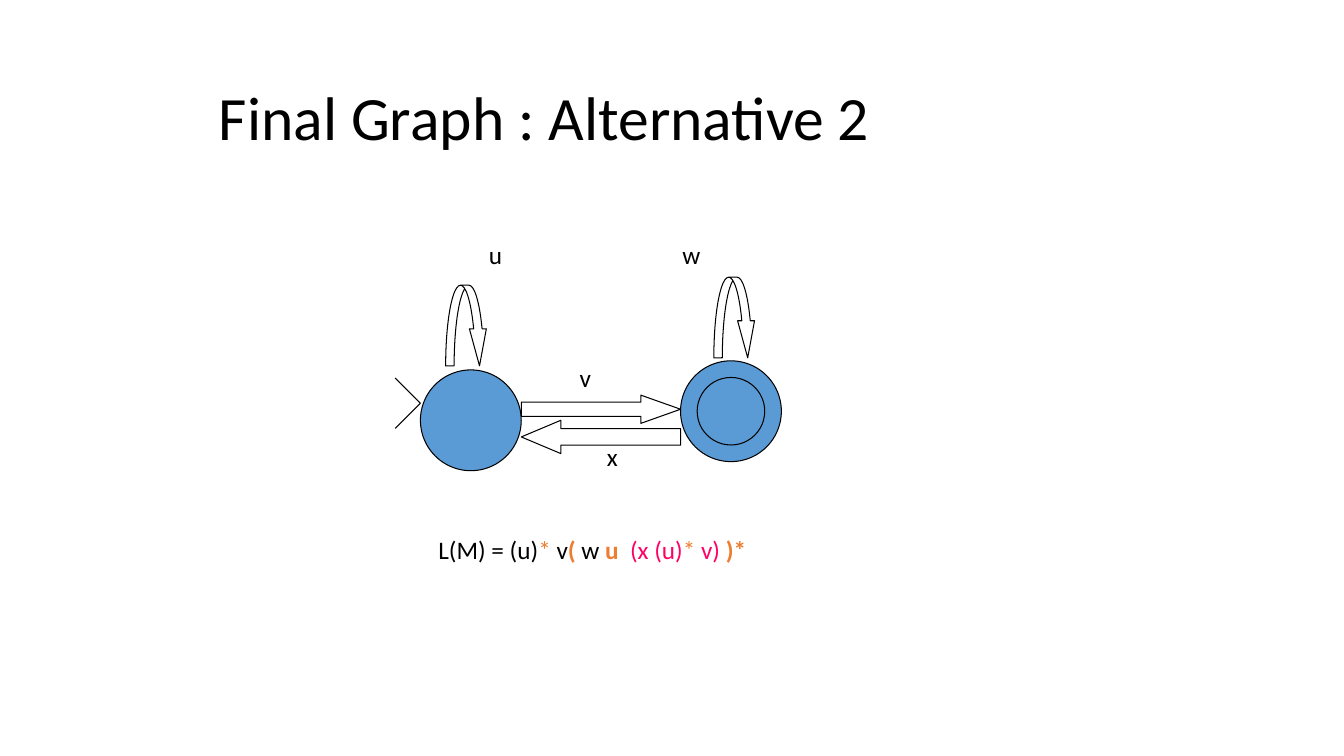
import pptx
import pptx.dml.color
import pptx.enum.shapes
import pptx.enum.text
import pptx.oxml
import pptx.oxml.ns
import pptx.util

Inches = pptx.util.Inches
Pt = pptx.util.Pt
PRESET = pptx.enum.shapes.MSO_SHAPE

FONT = "Calibri"
BLACK, BLUE, ORANGE, PINK = "000000", "5B9BD5", "ED7D31", "FF0066"

TITLE = "Final Graph : Alternative 2"
TITLE_BOX = (2.07, 0.47, 9.56, 1.45)

STATE_SIZE = 1.0
INNER_SIZE = 0.67
START_STATE = (4.17, 3.67)
FINAL_STATE = (6.75, 3.58)
START_TIP = (4.17, 4.0)
START_MARK = 0.25

LOOP_SIZE = (0.42, 0.8)
LOOP_ADJUSTMENTS = (0.2, 0.4, 0.875)
LOOPS = [(4.42, 2.83), (7.08, 2.75)]

# preset, top, height, head length relative to height
TRANSITIONS = [
    (PRESET.RIGHT_ARROW, 3.92, 0.28, 1.407),
    (PRESET.LEFT_ARROW, 4.17, 0.33, 1.188),
]

LABEL_HEIGHT = 0.4
# text, left, top, width
LABELS = [
    ("u", 4.75, 2.33, 0.34),
    ("w", 6.67, 2.33, 0.38),
    ("v", 5.65, 3.55, 0.32),
    ("x", 5.92, 4.33, 0.31),
]

FORMULA_BOX = (4.25, 5.25, 3.3, LABEL_HEIGHT)
# text, colour, bold
FORMULA = [
    ("L(M) = (u)", BLACK, False),
    ("*", ORANGE, False),
    (" v", BLACK, False),
    ("( ", ORANGE, True),
    ("w ", BLACK, False),
    ("u  ", ORANGE, True),
    ("(x (u)", PINK, False),
    ("* ", ORANGE, False),
    ("v) ", PINK, False),
    (")*", ORANGE, True),
]


def rgb(colour):
    return pptx.dml.color.RGBColor.from_string(colour)


def add_text(paragraph, text, size=18, colour=BLACK, bold=False):
    run = paragraph.add_run()
    run.text = text
    run.font.name = FONT
    run.font.size = Pt(size)
    run.font.bold = bold
    run.font.color.rgb = rgb(colour)


def add_title(slide):
    title = slide.shapes.title
    title.left, title.top, title.width, title.height = map(Inches, TITLE_BOX)
    frame = title.text_frame
    frame.auto_size = pptx.enum.text.MSO_AUTO_SIZE.NONE
    frame.vertical_anchor = pptx.enum.text.MSO_ANCHOR.MIDDLE
    paragraph = frame.paragraphs[0]
    paragraph.alignment = pptx.enum.text.PP_ALIGN.LEFT
    paragraph.line_spacing = 0.9
    add_text(paragraph, TITLE, size=44)


def add_outlined(slide, preset, box, fill=None, adjustments=()):
    shape = slide.shapes.add_shape(preset, *map(Inches, box))
    shape.shadow.inherit = False
    if fill:
        shape.fill.solid()
        shape.fill.fore_color.rgb = rgb(fill)
    else:
        shape.fill.background()
    shape.line.color.rgb = rgb(BLACK)
    shape.line.width = Pt(0.75)
    for index, value in enumerate(adjustments):
        shape.adjustments[index] = value


def add_state(slide, left, top, size=STATE_SIZE):
    add_outlined(slide, PRESET.OVAL, (left, top, size, size), fill=BLUE)


def add_line(slide, start, end):
    line = slide.shapes.add_connector(
        pptx.enum.shapes.MSO_CONNECTOR.STRAIGHT, *map(Inches, start + end))
    line.line.color.rgb = rgb(BLACK)
    line.line.width = Pt(0.75)
    properties = line._element.spPr
    properties.append(pptx.oxml.parse_xml(
        "<a:effectLst %s/>" % pptx.oxml.ns.nsdecls("a")))


def add_text_box(slide, box, runs):
    frame = slide.shapes.add_textbox(*map(Inches, box)).text_frame
    frame.word_wrap = False
    frame.auto_size = pptx.enum.text.MSO_AUTO_SIZE.SHAPE_TO_FIT_TEXT
    for text, colour, bold in runs:
        add_text(frame.paragraphs[0], text, colour=colour, bold=bold)


def main():
    presentation = pptx.Presentation()
    presentation.slide_width = Inches(13.33)
    presentation.slide_height = Inches(7.5)
    slide = presentation.slides.add_slide(presentation.slide_layouts[5])
    add_title(slide)

    add_state(slide, *FINAL_STATE)
    inset = (STATE_SIZE - INNER_SIZE) / 2
    add_state(slide, FINAL_STATE[0] + inset, FINAL_STATE[1] + inset, INNER_SIZE)
    add_state(slide, *START_STATE)

    tip_x, tip_y = START_TIP
    for offset in (-START_MARK, START_MARK):
        add_line(slide, (tip_x - START_MARK, tip_y + offset), START_TIP)

    for position in LOOPS:
        add_outlined(slide, PRESET.CURVED_DOWN_ARROW, position + LOOP_SIZE,
                     adjustments=LOOP_ADJUSTMENTS)

    gap_left = START_STATE[0] + STATE_SIZE
    gap_width = FINAL_STATE[0] - gap_left
    for preset, top, height, head in TRANSITIONS:
        add_outlined(slide, preset, (gap_left, top, gap_width, height),
                     adjustments=(0.5, head))

    for text, left, top, width in LABELS:
        add_text_box(slide, (left, top, width, LABEL_HEIGHT),
                     [(text, BLACK, False)])
    add_text_box(slide, FORMULA_BOX, FORMULA)

    presentation.save("out.pptx")


if __name__ == "__main__":
    main()
